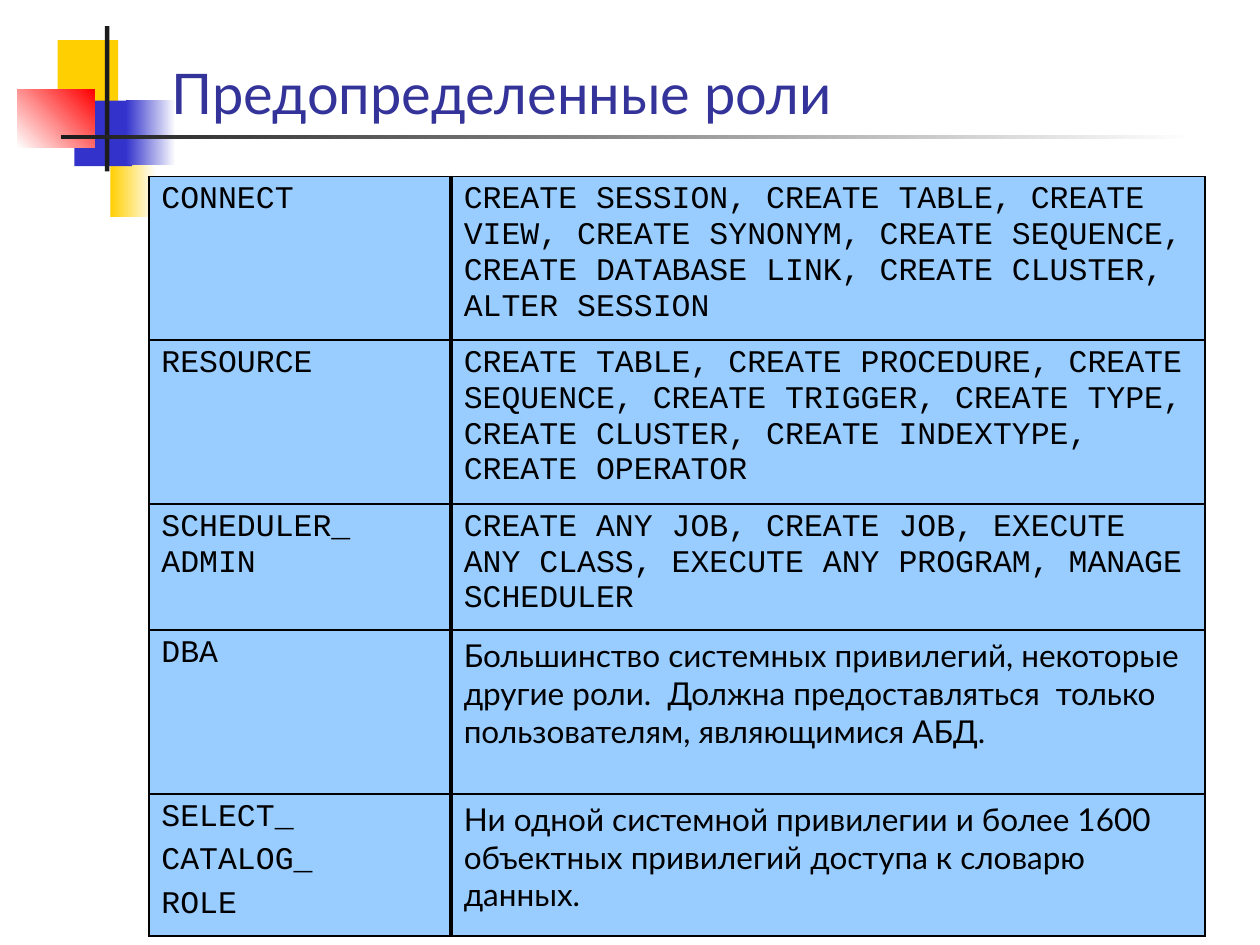
import dataclasses

import pptx
import pptx.dml.color
import pptx.enum.shapes
import pptx.enum.text
import pptx.oxml
import pptx.oxml.ns
import pptx.util

Pt = pptx.util.Pt


@dataclasses.dataclass(frozen=True)
class Theme:
    title: str = "333399"
    text: str = "000000"
    cell: str = "99CCFF"
    yellow: str = "FFCF01"
    blue: str = "3333CC"
    red: str = "FF0000"
    dark: str = "1C1C1C"
    white: str = "FFFFFF"
    body_font: str = "Lato"
    code_font: str = "Courier New"
    title_size: int = 32
    cell_size: int = 18
    thin_line: float = 1.08
    thick_line: float = 2.21


THEME = Theme()

# Role name lines, privileges, font of the privileges, row height
ROLES = [
    (["CONNECT"],
     "CREATE SESSION, CREATE TABLE, CREATE VIEW, CREATE SYNONYM, CREATE SEQUENCE, "
     "CREATE DATABASE LINK, CREATE CLUSTER, ALTER SESSION", THEME.code_font, 93.6),
    (["RESOURCE"],
     "CREATE TABLE, CREATE PROCEDURE, CREATE SEQUENCE, CREATE TRIGGER, CREATE TYPE, "
     "CREATE CLUSTER, CREATE INDEXTYPE, CREATE OPERATOR", THEME.code_font, 93.6),
    (["SCHEDULER_ ADMIN"],
     "CREATE ANY JOB, CREATE JOB, EXECUTE ANY CLASS, EXECUTE ANY PROGRAM, "
     "MANAGE SCHEDULER", THEME.code_font, 72),
    (["DBA"],
     "Большинство системных привилегий, некоторые другие роли.  Должна предоставляться  "
     "только пользователям, являющимися АБД.", THEME.body_font, 93.6),
    (["SELECT_", "CATALOG_", "ROLE"],
     "Ни одной системной привилегии и более 1600 объектных привилегий доступа к словарю "
     "данных.", THEME.body_font, 81.4),
]


def rgb(value):
    return pptx.dml.color.RGBColor.from_string(value)


def format_font(font, name, size, color):
    for attribute, value in {"name": name, "size": Pt(size), "bold": False}.items():
        setattr(font, attribute, value)
    font.color.rgb = rgb(color)


def add_block(slide, box, colors, angle=0):
    """Add a borderless rectangle with one solid colour or a two-colour gradient."""
    shape = slide.shapes.add_shape(
        pptx.enum.shapes.MSO_SHAPE.RECTANGLE, *(Pt(length) for length in box))
    shape.shadow.inherit = False
    shape.line.fill.background()
    if len(colors) == 1:
        shape.fill.solid()
        shape.fill.fore_color.rgb = rgb(colors[0])
        return
    shape.fill.gradient()
    shape.fill.gradient_angle = angle
    for stop, color in zip(shape.fill.gradient_stops, colors):
        stop.color.rgb = rgb(color)


def add_ornament(slide, box):
    """Coloured squares crossed by a vertical bar and a fading rule."""
    left, top, width, height = box
    blocks = [
        ((23, 8, 34.5, 37.5), [THEME.yellow], 0),
        ((53, 71.5, 26, 37.5), [THEME.yellow, THEME.white], 0),
        ((32.5, 42.5, 33, 37.5), [THEME.blue], 0),
        ((62, 42, 28.5, 37.5), [THEME.blue, THEME.white], 0),
        ((0, 36, 44, 33.5), [THEME.white, THEME.red], 45),
        ((50, 0, 2.5, height - 26), [THEME.dark], 0),
        ((25, 62, width - 25, 2.5), [THEME.dark, THEME.white], 0),
    ]
    for (x, y, block_width, block_height), colors, angle in blocks:
        add_block(slide, (left + x, top + y, block_width, block_height), colors, angle)


def place_title(slide, box, text):
    title = slide.shapes.title
    for attribute, length in zip(("left", "top", "width", "height"), box):
        setattr(title, attribute, Pt(length))
    frame = title.text_frame
    frame.text = text
    frame.word_wrap = True
    frame.auto_size = pptx.enum.text.MSO_AUTO_SIZE.NONE
    frame.vertical_anchor = pptx.enum.text.MSO_ANCHOR.BOTTOM
    paragraph = frame.paragraphs[0]
    paragraph.alignment = pptx.enum.text.PP_ALIGN.LEFT
    format_font(paragraph.runs[0].font, THEME.body_font, THEME.title_size, THEME.title)
    # Bring the title in front of the ornament
    slide.shapes._spTree.append(title._element)


def set_borders(cell, widths):
    properties = cell._tc.get_or_add_tcPr()
    for index, (side, width) in enumerate(widths.items()):
        properties.insert(index, pptx.oxml.parse_xml(
            f'<a:ln{side} {pptx.oxml.ns.nsdecls("a")} w="{int(Pt(width))}">'
            f'<a:solidFill><a:srgbClr val="{THEME.text}"/></a:solidFill></a:ln{side}>'))


def fill_cell(cell, lines, font_name, borders):
    cell.fill.solid()
    cell.fill.fore_color.rgb = rgb(THEME.cell)
    set_borders(cell, borders)
    cell.text = "\n".join(lines)
    for index, paragraph in enumerate(cell.text_frame.paragraphs):
        paragraph.space_before = Pt(4.5 if index else 0)
        format_font(paragraph.runs[0].font, font_name, THEME.cell_size, THEME.text)


def add_role_table(slide, box, name_width):
    left, top, width, height = box
    table = slide.shapes.add_table(
        len(ROLES), 2, Pt(left), Pt(top), Pt(width), Pt(height)).table
    table.first_row = table.horz_banding = False
    table.columns[0].width = Pt(name_width)
    table.columns[1].width = Pt(width - name_width)
    thin, thick = THEME.thin_line, THEME.thick_line
    name_borders = {"L": thin, "R": thick, "T": thin, "B": thin}
    privilege_borders = {"L": thick, "R": thin, "T": thin, "B": thin}
    for row, (name_lines, privileges, font_name, row_height) in enumerate(ROLES):
        table.rows[row].height = Pt(row_height)
        fill_cell(table.cell(row, 0), name_lines, THEME.code_font, name_borders)
        fill_cell(table.cell(row, 1), [privileges], font_name, privilege_borders)


def main():
    presentation = pptx.Presentation()
    presentation.slide_width, presentation.slide_height = Pt(720), Pt(540)
    slide = presentation.slides.add_slide(presentation.slide_layouts[5])
    add_ornament(slide, (10, 15, 673, 109))
    place_title(slide, (90.7, 9.4, 613.4, 66.2), "Предопределенные роли")
    add_role_table(slide, (85, 100.8, 603.4, sum(role[-1] for role in ROLES)), 172.8)
    presentation.save("out.pptx")


if __name__ == "__main__":
    main()
